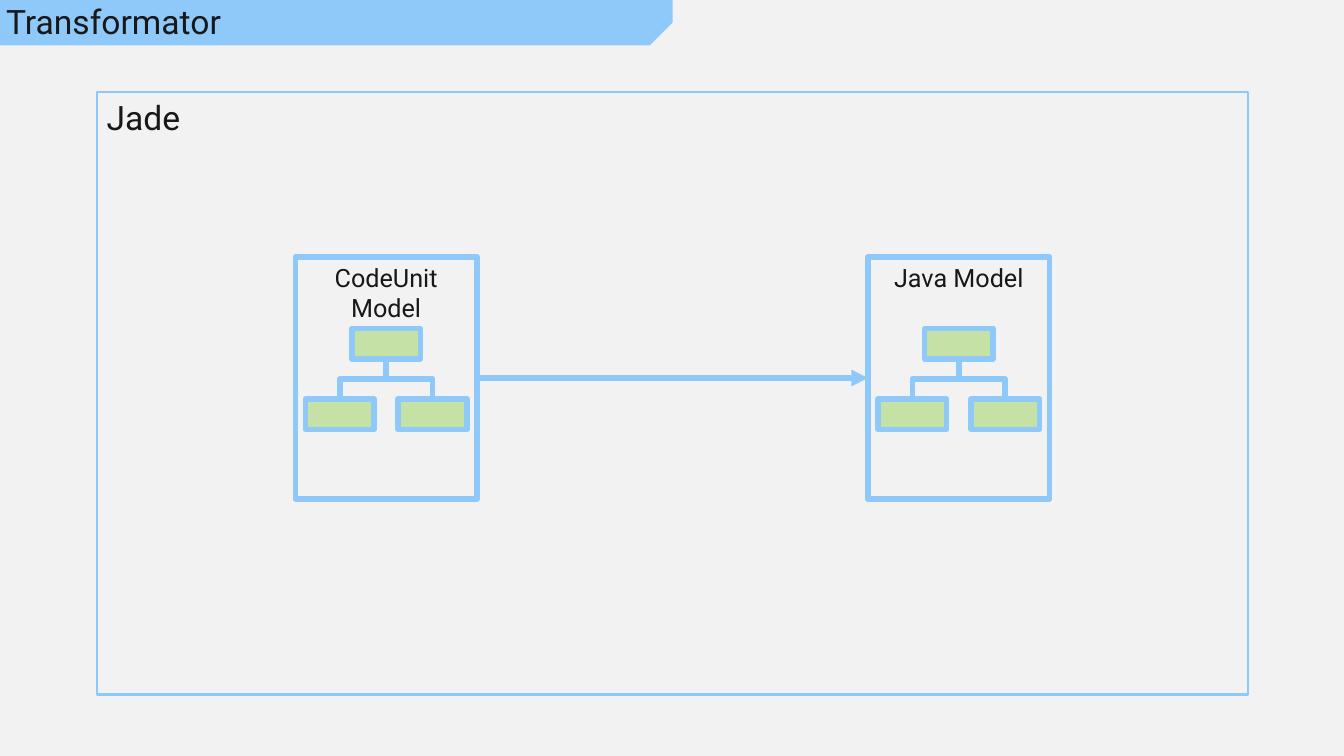
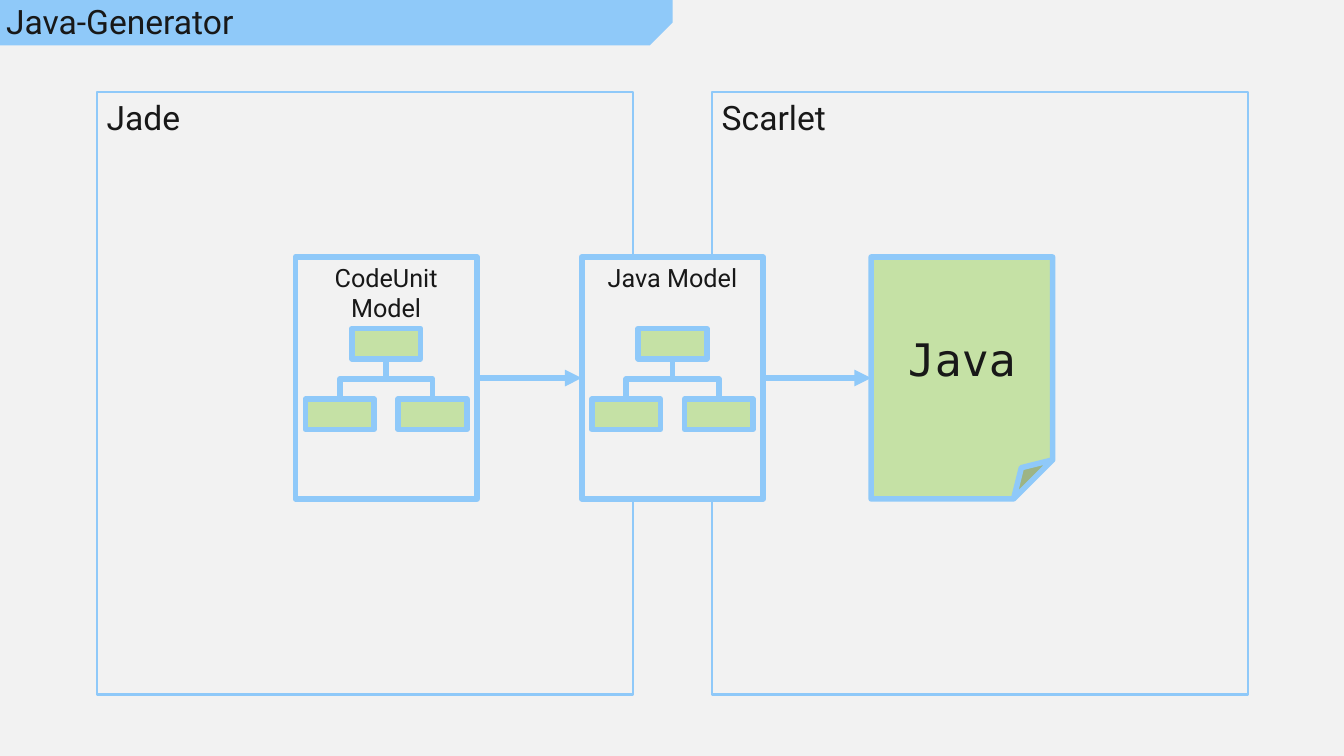
"""Build two slides on how a code unit model becomes Java."""
import lxml.etree
import pptx
import pptx.dml.color
import pptx.enum.shapes
import pptx.enum.text
import pptx.oxml.ns
import pptx.util

Inches = pptx.util.Inches
Pt = pptx.util.Pt
RGBColor = pptx.dml.color.RGBColor
SHAPE = pptx.enum.shapes.MSO_SHAPE
CONNECTOR = pptx.enum.shapes.MSO_CONNECTOR
ANCHOR = pptx.enum.text.MSO_ANCHOR
ALIGN = pptx.enum.text.PP_ALIGN
qn = pptx.oxml.ns.qn

BLUE = RGBColor(0x8F, 0xC9, 0xF9)
GREEN = RGBColor(0xC5, 0xE1, 0xA5)
GREY = RGBColor(0xF2, 0xF2, 0xF2)
INK = RGBColor(0x18, 0x18, 0x18)

HEADING = {"name": "Roboto", "size": Pt(24)}
LABEL = {"name": "Roboto", "size": Pt(18)}
CODE = {"name": "DejaVu Sans Mono", "size": Pt(32)}

MODEL_TOP, MODEL_WIDTH, MODEL_HEIGHT = 2.55, 1.8, 2.4
ARROW_Y = MODEL_TOP + MODEL_HEIGHT / 2
NODE_WIDTH, NODE_HEIGHT = 0.68, 0.3
ROOT_TOP, CHILD_TOP = 3.26, 3.96
BRANCH = 0.46
DROP = CHILD_TOP - ROOT_TOP - NODE_HEIGHT


def add_box(shapes, kind, frame, fill, weight, text="", font=LABEL, align=ALIGN.CENTER, anchor=ANCHOR.TOP):
    box = shapes.add_shape(kind, *[Inches(length) for length in frame])
    box.shadow.inherit = False
    box.fill.solid()
    box.fill.fore_color.rgb = fill
    if weight:
        box.line.color.rgb = BLUE
        box.line.width = Pt(weight)
    else:
        box.line.fill.background()
    if text:
        box.text_frame.vertical_anchor = anchor
        para = box.text_frame.paragraphs[0]
        para.alignment = align
        span = para.add_run()
        span.text = text
        span.font.color.rgb = INK
        for name, value in font.items():
            setattr(span.font, name, value)
    return box


def add_link(shapes, kind, ends):
    link = shapes.add_connector(kind, *[Inches(length) for length in ends])
    link.line.color.rgb = BLUE
    link.line.width = Pt(4)
    lxml.etree.SubElement(link._element.spPr, qn("a:effectLst"))
    return link


deck = pptx.Presentation()
deck.slide_width = Inches(13.33)
deck.slide_height = Inches(7.5)

layout = deck.slide_layouts[5]
layout.background.fill.solid()
layout.background.fill.fore_color.rgb = GREY
title_frame = {"left": 0.06, "top": 0.05, "width": 6.67, "height": 0.45}
for name, length in title_frame.items():
    setattr(layout.placeholders[0], name, Inches(length))

slides = [
    {
        "title": "Transformator",
        "panels": [("Jade", 0.96, 11.42)],
        "models": [("CodeUnit Model", 2.93), ("Java Model", 8.61)],
        "arrows": [(4.73, 8.61)],
    },
    {
        "title": "Java-Generator",
        "panels": [("Scarlet", 7.06, 5.32), ("Jade", 0.96, 5.32)],
        "models": [("CodeUnit Model", 2.93), ("Java Model", 5.77)],
        "arrows": [(4.73, 5.77), (7.57, 8.64)],
        "file": ("Java", 8.64),
    },
]

for content in slides:
    page = deck.slides.add_slide(layout)
    title = page.shapes.title
    title.text = content["title"]
    frame_format = {
        "margin_left": 0, "margin_top": 0, "margin_right": 0, "margin_bottom": 0,
        "vertical_anchor": ANCHOR.TOP, "auto_size": pptx.enum.text.MSO_AUTO_SIZE.NONE,
    }
    for name, value in frame_format.items():
        setattr(title.text_frame, name, value)
    para = title.text_frame.paragraphs[0]
    para.alignment = ALIGN.LEFT
    para.line_spacing = 0.9
    span = para.runs[0]
    span.font.color.rgb = INK
    for name, value in HEADING.items():
        setattr(span.font, name, value)

    for text, left, width in content["panels"]:
        add_box(page.shapes, SHAPE.RECTANGLE, (left, 0.91, width, 5.98), GREY, 1.5, text, HEADING, ALIGN.LEFT)

    for text, left in content["models"]:
        model = page.shapes.add_group_shape().shapes
        add_box(model, SHAPE.RECTANGLE, (left, MODEL_TOP, MODEL_WIDTH, MODEL_HEIGHT), GREY, 4, text)
        middle = left + MODEL_WIDTH / 2
        for center, top in [(middle, ROOT_TOP), (middle - BRANCH, CHILD_TOP), (middle + BRANCH, CHILD_TOP)]:
            node = (center - NODE_WIDTH / 2, top, NODE_WIDTH, NODE_HEIGHT)
            add_box(model, SHAPE.RECTANGLE, node, GREEN, 4)
        for side, turn in [(-1, 90), (1, 270)]:
            x = middle + side * BRANCH / 2
            y = CHILD_TOP - DROP / 2
            reach = side * DROP / 2
            ends = (x + reach, y - BRANCH / 2, x - reach, y + BRANCH / 2)
            branch = add_link(model, CONNECTOR.ELBOW, ends)
            branch._element.spPr.xfrm.set("rot", str(turn * 60000))

    if "file" in content:
        text, left = content["file"]
        frame = (left, MODEL_TOP, MODEL_WIDTH, MODEL_HEIGHT)
        sheet = add_box(page.shapes, SHAPE.FOLDED_CORNER, frame, GREEN, 4, text, CODE, anchor=ANCHOR.MIDDLE)
        fold = sheet._element.spPr.find(qn("a:prstGeom")).get_or_add_avLst()
        lxml.etree.SubElement(fold, qn("a:gd"), name="adj", fmla="val 21500")

    for start, end in content["arrows"]:
        arrow = add_link(page.shapes, CONNECTOR.STRAIGHT, (start, ARROW_Y, end, ARROW_Y))
        lxml.etree.SubElement(arrow.line._get_or_add_ln(), qn("a:tailEnd"), type="triangle")

band = add_box(deck.slides[0].shapes, SHAPE.SNIP_1_RECTANGLE, (3.11, -3.11, 0.45, 6.67), BLUE, 0)
band.rotation = 90
band.adjustments[0] = 0.5
layout.shapes._spTree.insert(2, band._element)

deck.save("out.pptx")
